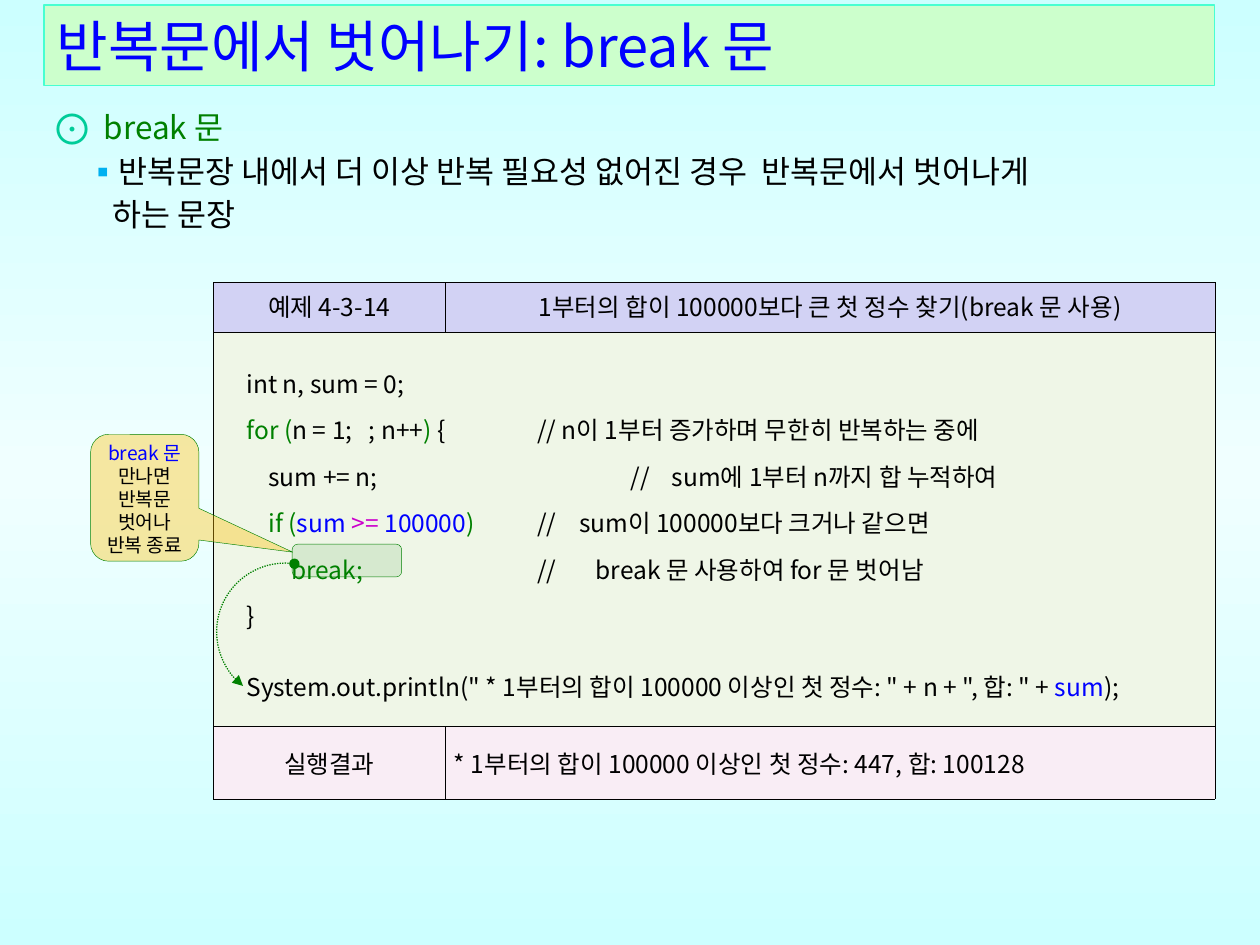
import copy

import pptx
import pptx.dml.color
import pptx.enum.dml
import pptx.enum.shapes
import pptx.enum.text
import pptx.oxml
import pptx.oxml.ns
import pptx.util

Pt = pptx.util.Pt
RGB = pptx.dml.color.RGBColor
SHAPE = pptx.enum.shapes.MSO_SHAPE
ALIGN = pptx.enum.text.PP_ALIGN
ANCHOR = pptx.enum.text.MSO_ANCHOR

FONT = "Noto Sans CJK KR"
BLACK = RGB(0x00, 0x00, 0x00)
BLUE = RGB(0x00, 0x00, 0xFF)
GREEN = RGB(0x00, 0x80, 0x00)
MAGENTA = RGB(0xCC, 0x00, 0xCC)
TEAL = RGB(0x00, 0xCC, 0x99)
SKY = RGB(0x00, 0xB0, 0xF0)
AMBER = RGB(0xFF, 0xC0, 0x00)
TITLE_FILL = RGB(0xCC, 0xFF, 0xCC)
TITLE_LINE = RGB(0x47, 0xFF, 0xD1)
BG_EDGE = RGB(0xCC, 0xFF, 0xFF)
BG_MIDDLE = RGB(0xF0, 0xFF, 0xFF)
HEADER_FILL = RGB(0xD2, 0xD2, 0xF4)
CODE_FILL = RGB(0xEF, 0xF6, 0xE7)
RESULT_FILL = RGB(0xF9, 0xED, 0xF5)

# Code lines: runs of (text, colour), tab stops, line spacing
CODE = [
    ([("int n, sum = 0;", BLACK)], [], 1.3),
    ([("for (", GREEN), ("n = 1;   ; n++", BLACK), (")", GREEN),
      (" {\t// n이 1부터 증가하며 무한히 반복하는 중에", BLACK)], [166], 1.3),
    ([("\tsum += n;\t//\tsum에 1부터 n까지 합 누적하여", BLACK)],
     [12.5, 219.5, 243], 1.3),
    ([("\tif (", GREEN), ("sum ", BLUE), (">=", MAGENTA), (" 100000", BLUE),
      (")", GREEN), ("\t//\tsum이 100000보다 크거나 같으면", BLACK)],
     [12.5, 166, 190], 1.3),
    ([("\tbreak;", GREEN), ("\t//\tbreak 문 사용하여 for 문 벗어남", BLACK)],
     [25.5, 166, 199.5], 1.3),
    ([("}", BLACK)], [], 1.3),
    ([('System.out.println(" * 1부터의 합이 100000 이상인 첫 정수: " + n + ", 합: " + ', BLACK),
      ("sum", BLUE), (");", BLACK)], [], 2.0),
]


def add_xml(parent, tag, **attrs):
    """Append a DrawingML child element and return it."""
    child = pptx.oxml.parse_xml(
        f'<a:{tag} {pptx.oxml.ns.nsdecls("a")}/>')
    for key, value in attrs.items():
        child.set(key, str(value))
    parent.append(child)
    return child


def write_paragraph(tf, runs, size, align=ALIGN.LEFT, spacing=None, first=False):
    """Write coloured runs as one paragraph of a text frame."""
    p = tf.paragraphs[0] if first else tf.add_paragraph()
    p.alignment = align
    if spacing:
        p.line_spacing = spacing
    p.font.size = Pt(size)
    p.font.name = FONT
    add_xml(p._p.pPr.find(pptx.oxml.ns.qn("a:defRPr")), "ea", typeface=FONT)
    for text, color in runs:
        r = p.add_run()
        r.text = text
        r.font.color.rgb = color
        r.font.size = Pt(size)
        r.font.name = FONT
        add_xml(r._r.rPr, "ea", typeface=FONT)
    return p


def insert_before_font(p, *elements):
    """Move elements ahead of the paragraph's font defaults."""
    font = p._p.pPr.find(pptx.oxml.ns.qn("a:defRPr"))
    for element in elements:
        font.addprevious(element)


def set_indent(p, left, hanging=0):
    """Set the left margin and hanging indent of a paragraph."""
    p._p.pPr.set("marL", str(Pt(left)))
    p._p.pPr.set("indent", str(-Pt(hanging)))


def set_bullet(p, char, color, percent):
    """Give a paragraph a coloured character bullet."""
    pPr = p._p.pPr
    clr = add_xml(pPr, "buClr")
    add_xml(clr, "srgbClr", val=color)
    insert_before_font(p, clr, add_xml(pPr, "buSzPct", val=percent * 1000),
                       add_xml(pPr, "buFont", typeface=FONT),
                       add_xml(pPr, "buChar", char=char))


def set_tabs(p, stops):
    """Set left tab stops on a paragraph."""
    tabs = add_xml(p._p.pPr, "tabLst")
    for stop in stops:
        add_xml(tabs, "tab", pos=Pt(stop), algn="l")
    insert_before_font(p, tabs)


def set_margins(frame, left, top, right, bottom):
    """Set the inner margins of a text frame or cell."""
    frame.margin_left, frame.margin_top = Pt(left), Pt(top)
    frame.margin_right, frame.margin_bottom = Pt(right), Pt(bottom)


def set_background(s):
    """Fill the slide with a vertical gradient that is lightest midway."""
    fill = s.background.fill
    fill.gradient()
    fill.gradient_angle = 90
    for stop, position in zip(fill.gradient_stops, (0, 1)):
        stop.color.rgb = BG_EDGE
        stop.position = position
    edge = s.element.xpath(".//p:bg//a:gs")[0]
    edge.addnext(copy.deepcopy(edge))
    middle = fill.gradient_stops[1]
    middle.color.rgb = BG_MIDDLE
    middle.position = 0.5


def add_title(s, text):
    """Place and format the title placeholder."""
    sp = s.shapes.title
    sp.left, sp.top, sp.width, sp.height = Pt(25.2), Pt(2.9), Pt(669), Pt(46)
    sp.fill.solid()
    sp.fill.fore_color.rgb = TITLE_FILL
    sp.line.color.rgb = TITLE_LINE
    sp.line.width = Pt(0.75)
    tf = sp.text_frame
    tf.auto_size = pptx.enum.text.MSO_AUTO_SIZE.NONE
    tf.vertical_anchor = ANCHOR.MIDDLE
    set_margins(tf, 7.2, 0, 7.2, 0)
    write_paragraph(tf, [(text, BLUE)], 32, first=True)


def add_outline(s):
    """Add the bulleted explanation under the title."""
    tf = s.shapes.add_textbox(Pt(22.3), Pt(54.7), Pt(675), Pt(105)).text_frame
    tf.word_wrap = True
    p = write_paragraph(tf, [("break 문", GREEN)], 18, spacing=Pt(25), first=True)
    set_indent(p, 30, 30)
    set_bullet(p, "⊙", TEAL, 133)
    p = write_paragraph(
        tf, [("반복문장 내에서 더 이상 반복 필요성 없어진 경우  반복문에서 벗어나게", BLACK)],
        18, spacing=Pt(25))
    set_indent(p, 38, 17.5)
    set_bullet(p, "▪", SKY, 100)
    p = write_paragraph(tf, [("하는 문장", BLACK)], 18, spacing=Pt(25))
    set_indent(p, 35)


def format_cell(cell, color, left=5, top=1.4):
    """Set borders, fill, margins and anchor of a cell."""
    tcPr = cell._tc.get_or_add_tcPr()
    for side in ("lnL", "lnR", "lnT", "lnB"):
        ln = add_xml(tcPr, side, w=Pt(0.28))
        add_xml(add_xml(ln, "solidFill"), "srgbClr", val=BLACK)
    cell.fill.solid()
    cell.fill.fore_color.rgb = color
    cell.vertical_anchor = ANCHOR.MIDDLE
    set_margins(cell, left, top, 5, 1.4)


def add_example_table(s):
    """Add the table with the example's heading, code and result."""
    table = s.shapes.add_table(3, 2, Pt(121.9), Pt(161.4), Pt(572.4), Pt(295.2)).table
    table.first_row = table.horz_banding = False
    for column, width in zip(table.columns, (132.5, 439.9)):
        column.width = Pt(width)
    for row, height in zip(table.rows, (28.3, 225.3, 41.6)):
        row.height = Pt(height)
    for col in (0, 1):
        format_cell(table.cell(0, col), HEADER_FILL, top=0)
        format_cell(table.cell(1, col), CODE_FILL, left=19)
        format_cell(table.cell(2, col), RESULT_FILL)
    table.cell(1, 0).merge(table.cell(1, 1))
    labels = [(0, 0, "예제 4-3-14", ALIGN.CENTER),
              (0, 1, "1부터의 합이 100000보다 큰 첫 정수 찾기(break 문 사용)", ALIGN.CENTER),
              (2, 0, "실행결과", ALIGN.CENTER),
              (2, 1, "* 1부터의 합이 100000 이상인 첫 정수: 447, 합: 100128", ALIGN.LEFT)]
    for row, col, text, align in labels:
        write_paragraph(table.cell(row, col).text_frame, [(text, BLACK)], 14, align, first=True)
    for i, (runs, stops, spacing) in enumerate(CODE):
        p = write_paragraph(table.cell(1, 0).text_frame, runs, 14, spacing=spacing, first=i == 0)
        if stops:
            set_tabs(p, stops)


def add_outlined_shape(s, kind, box, adjustments, fill=None, alpha=100, width=0.25):
    """Add a green-outlined shape with an optional translucent fill."""
    sp = s.shapes.add_shape(kind, *map(Pt, box))
    sp.shadow.inherit = False
    for i, value in enumerate(adjustments):
        sp.adjustments[i] = value
    sp.line.color.rgb = GREEN
    sp.line.width = Pt(width)
    if fill is None:
        sp.fill.background()
    else:
        sp.fill.solid()
        sp.fill.fore_color.rgb = fill
        add_xml(sp._element.spPr.xpath("./a:solidFill/a:srgbClr")[0], "alpha", val=alpha * 1000)
    return sp


def add_callout(s):
    """Add the callout that explains the break statement."""
    sp = add_outlined_shape(s, SHAPE.ROUNDED_RECTANGULAR_CALLOUT, (51.8, 248.2, 61.9, 72.5),
                            (1.366, 0.429, 0.167), AMBER, 37)
    tf = sp.text_frame
    tf.word_wrap = True
    tf.vertical_anchor = ANCHOR.MIDDLE
    set_margins(tf, 0, 1.5, 0, 0)
    lines = ("break 문", "만나면", "반복문", "벗어나", "반복 종료")
    for i, text in enumerate(lines):
        write_paragraph(tf, [(text, BLACK if i else BLUE)], 11, ALIGN.CENTER, Pt(13.2), i == 0)


def add_jump_arc(s):
    """Add the dotted arc from break to the statement after the loop."""
    start, end = 128, 277.6
    sp = add_outlined_shape(s, SHAPE.ARC, (123.8, 321.8, 78.5, 78.5),
                            (start * 0.6, end * 0.6), width=0.75)
    sp.line.dash_style = pptx.enum.dml.MSO_LINE.ROUND_DOT
    ln = sp._element.spPr.find(pptx.oxml.ns.qn("a:ln"))
    add_xml(ln, "headEnd", type="triangle")
    add_xml(ln, "tailEnd", type="oval")


def main():
    """Build the slide and save it."""
    prs = pptx.Presentation()
    prs.slide_width, prs.slide_height = Pt(720), Pt(540)
    s = prs.slides.add_slide(prs.slide_layouts[5])
    set_background(s)
    add_title(s, "반복문에서 벗어나기: break 문")
    add_outline(s)
    add_example_table(s)
    add_outlined_shape(s, SHAPE.ROUNDED_RECTANGLE, (167, 311, 62.6, 18.7), (0.167,), GREEN, 10)
    add_callout(s)
    add_jump_arc(s)
    prs.save("out.pptx")


main()
